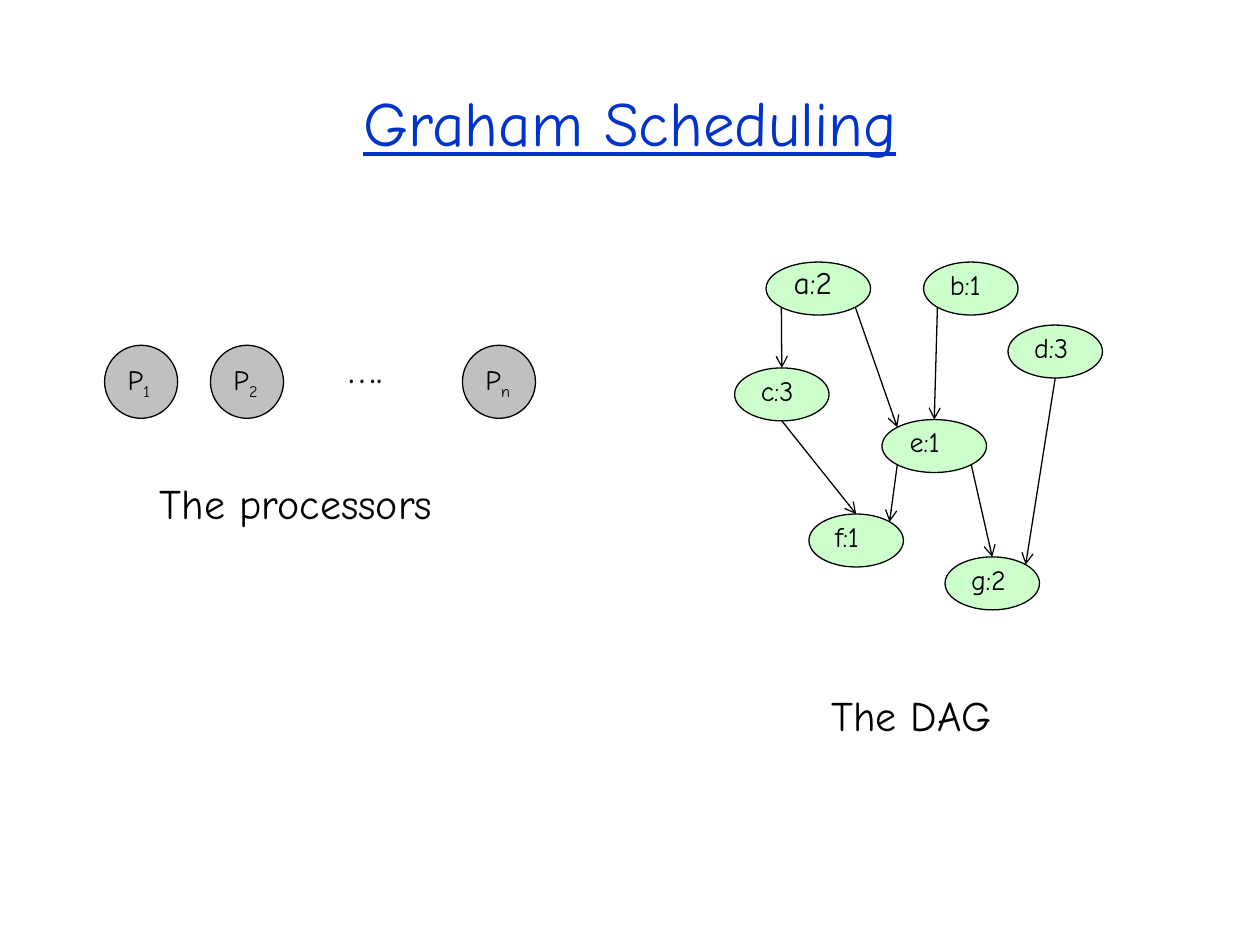
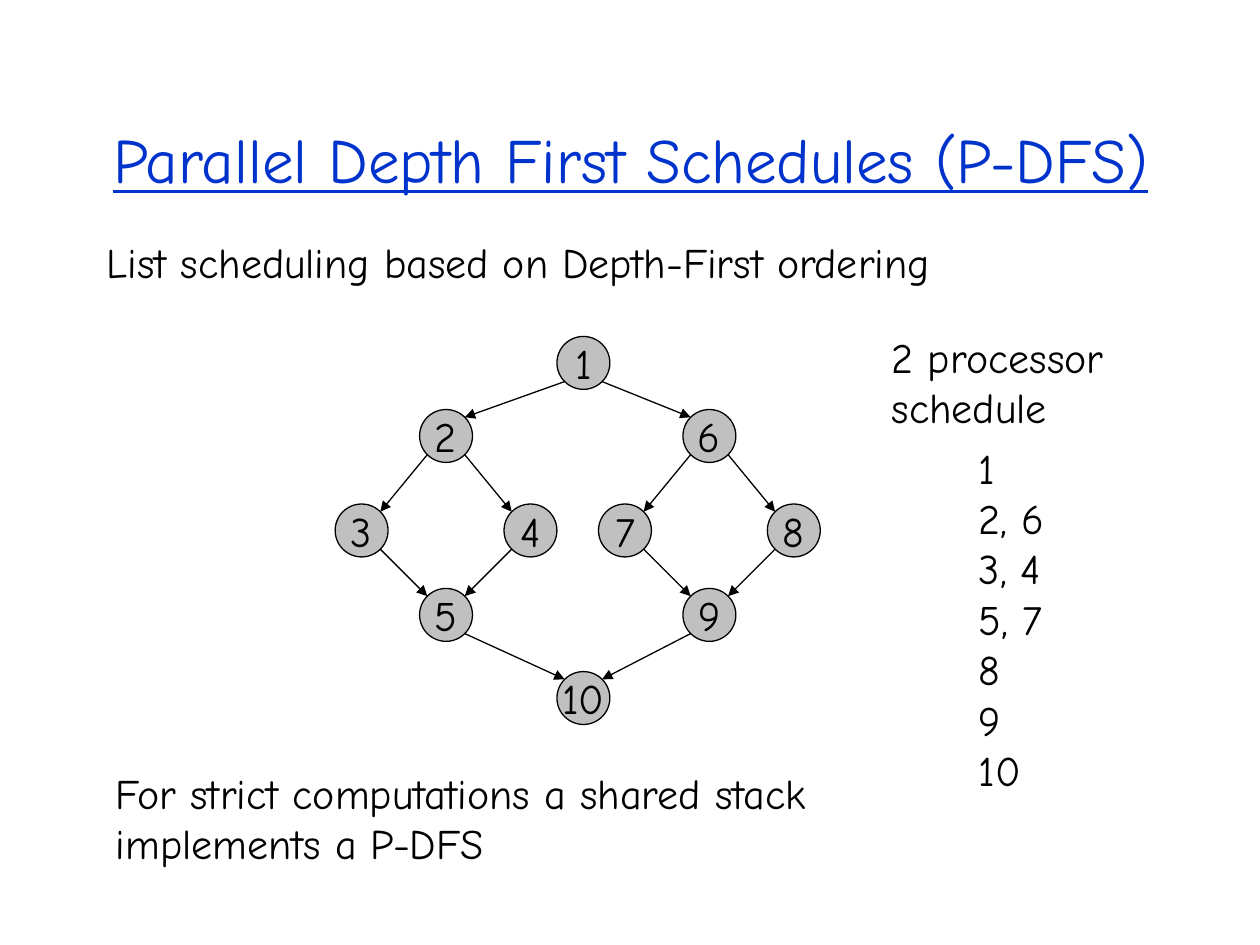
from lxml.etree import SubElement
from math import sqrt

from pptx import Presentation
from pptx.dml.color import RGBColor
from pptx.enum.shapes import MSO_CONNECTOR as CONN, MSO_SHAPE as SHAPE
from pptx.enum.text import MSO_ANCHOR as ANCHOR, MSO_AUTO_SIZE as FIT, PP_ALIGN as ALIGN
from pptx.oxml.ns import qn
from pptx.util import Inches, Pt

FONT, BLACK, BLUE, GREY, GREEN = "Comic Neue", "000000", "0033CC", "C0C0C0", "CCFFCC"
TITLE = {"size": Pt(36), "underline": True}
BODY = {"size": Pt(24)}
LABEL = {"size": Pt(16)}
DIAG = sqrt(0.5)
SITES = {"n": (0, -1), "s": (0, 1), "nw": (-DIAG, -DIAG), "ne": (DIAG, -DIAG),
         "sw": (-DIAG, DIAG), "se": (DIAG, DIAG)}


def rgb(value):
    return RGBColor.from_string(value)


def site(box, name):
    x, y, w, h = box
    dx, dy = SITES[name]
    return Inches(x + w / 2 * (1 + dx)), Inches(y + h / 2 * (1 + dy))


class Deck:
    """Holds the presentation, its shared style and the current slide."""

    def __init__(self):
        self.prs = Presentation()
        self.prs.slide_width, self.prs.slide_height = Inches(10), Inches(7.5)

    def slide(self, title, box):
        self.s = self.prs.slides.add_slide(self.prs.slide_layouts[6])
        frame = {"word_wrap": True, "vertical_anchor": ANCHOR.MIDDLE}
        self.text(box, title, TITLE, BLUE, ALIGN.CENTER, frame)

    def style(self, r, fmt, color=BLACK):
        for key, value in {"name": FONT, **fmt}.items():
            setattr(r.font, key, value)
        r.font.color.rgb = rgb(color)

    def fill_text(self, tf, text, fmt, color, align, frame):
        for key, value in frame.items():
            setattr(tf, key, value)
        for i, line in enumerate(text.split("\n")):
            p = tf.add_paragraph() if i else tf.paragraphs[0]
            p.text, p.alignment = line, align
            for r in p.runs:
                self.style(r, fmt, color)

    def text(self, box, text, fmt=BODY, color=BLACK, align=ALIGN.LEFT, frame=None):
        sp = self.s.shapes.add_textbox(*map(Inches, box))
        frame = frame or {"word_wrap": False, "auto_size": FIT.SHAPE_TO_FIT_TEXT}
        self.fill_text(sp.text_frame, text, fmt, color, align, frame)

    def node(self, box, text, fill, fmt=LABEL, align=ALIGN.LEFT, anchor=ANCHOR.BOTTOM,
             wrap=True, sub=""):
        sp = self.s.shapes.add_shape(SHAPE.OVAL, *map(Inches, box))
        sp.shadow.inherit = False
        sp.fill.solid()
        sp.fill.fore_color.rgb = rgb(fill)
        sp.line.color.rgb, sp.line.width = rgb(BLACK), Pt(0.75)
        frame = {"word_wrap": wrap, "vertical_anchor": anchor}
        self.fill_text(sp.text_frame, text, fmt, BLACK, align, frame)
        if sub:
            r = sp.text_frame.paragraphs[0].add_run()
            r.text = sub
            self.style(r, fmt)
            r._r.get_or_add_rPr().set("baseline", "-25000")

    def arrow(self, start, end, head):
        c = self.s.shapes.add_connector(CONN.STRAIGHT, *start, *end)
        c.line.color.rgb, c.line.width = rgb(BLACK), Pt(0.75)
        SubElement(c.line._get_or_add_ln(), qn("a:tailEnd"), type=head)
        SubElement(c._element.spPr, qn("a:effectLst"))


def graham(deck):
    deck.slide("Graham Scheduling", (0.75, 0.5, 8.5, 0.92))
    for x, sub in ((0.83, "1"), (1.67, "2"), (3.67, "n")):
        deck.node((x, 2.74, 0.58, 0.58), "P", GREY, anchor=ANCHOR.TOP, sub=sub)
    deck.text((2.67, 2.66, 0.51, 0.51), "….")

    tasks = {"a:2": (6.08, 2.08, 0.83), "b:1": (7.33, 2.08, 0.75), "e:1": (7, 3.33, 0.83),
             "c:3": (5.83, 2.92, 0.75), "d:3": (8, 2.58, 0.75), "f:1": (6.42, 4.08, 0.75),
             "g:2": (7.5, 4.42, 0.75)}
    boxes = {}
    for task, place in tasks.items():
        boxes[task[0]] = (*place, 0.42)
        fmt = {"size": Pt(18)} if task == "a:2" else LABEL
        deck.node(boxes[task[0]], task, GREEN, fmt)
    edges = (("a", "sw", "c", "n"), ("a", "se", "e", "nw"), ("b", "sw", "e", "n"),
             ("c", "s", "f", "n"), ("e", "sw", "f", "ne"), ("d", "s", "g", "ne"),
             ("e", "se", "g", "n"))
    for a, out, b, into in edges:
        deck.arrow(site(boxes[a], out), site(boxes[b], into), "arrow")

    deck.text((1.17, 3.74, 2.62, 0.51), "The processors")
    deck.text((6.5, 5.42, 1.63, 0.51), "The DAG")


def depth_first(deck):
    deck.slide("Parallel Depth First Schedules (P-DFS)", (0.17, 0.84, 9.67, 0.83))
    deck.text((0.75, 1.83, 8.5, 0.75), "List scheduling based on Depth-First ordering",
              frame={"word_wrap": True})

    places = {1: (4.42, 2.67), 10: (4.42, 5.33)}
    edges = []
    for top, x in ((2, 3.33), (6, 5.42)):
        left, right, bottom = top + 1, top + 2, top + 3
        places.update({top: (x, 3.25), left: (x - 0.67, 4), right: (x + 0.67, 4),
                       bottom: (x, 4.67)})
        edges += [(1, top), (top, left), (top, right), (left, bottom), (right, bottom),
                  (bottom, 10)]
    boxes = {n: (*place, 0.42, 0.42) for n, place in places.items()}
    for n, box in boxes.items():
        deck.node(box, str(n), GREY, BODY, ALIGN.CENTER, ANCHOR.MIDDLE, False)
    for a, b in edges:
        out, into = ("se", "nw") if boxes[b][0] > boxes[a][0] else ("sw", "ne")
        deck.arrow(site(boxes[a], out), site(boxes[b], into), "triangle")

    deck.text((7.67, 3.46, 0.77, 2.9), "1\n2, 6\n3, 4\n5, 7\n8\n9\n10")
    deck.text((6.98, 2.58, 1.9, 0.9), "2 processor\nschedule")
    deck.text((0.82, 6.04, 5.81, 0.9),
              "For strict computations a shared stack\vimplements a P-DFS")


def main():
    deck = Deck()
    graham(deck)
    depth_first(deck)
    deck.prs.save("out.pptx")


if __name__ == "__main__":
    main()
